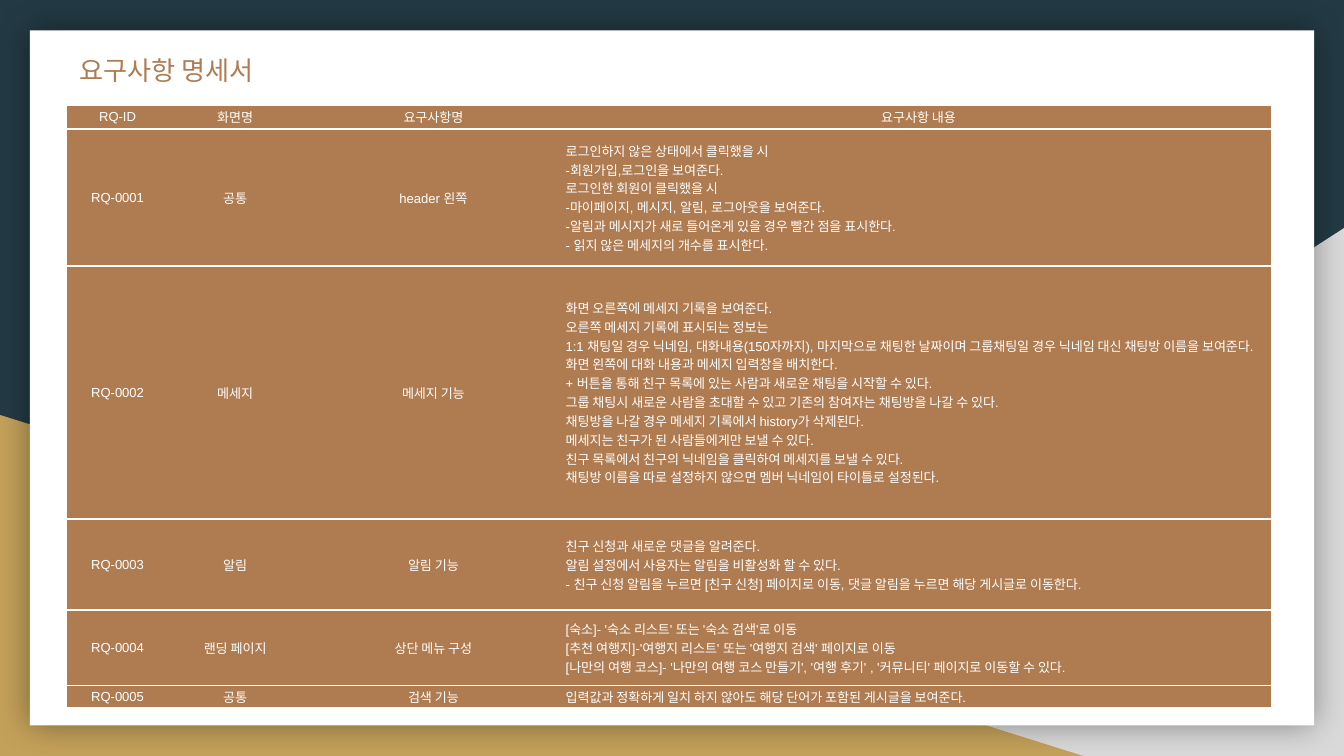
from lxml.etree import SubElement
from pptx import Presentation
from pptx.dml.color import RGBColor
from pptx.enum.shapes import MSO_SHAPE as Preset
from pptx.enum.text import MSO_ANCHOR as Anchor, PP_ALIGN as Align
from pptx.oxml import parse_xml
from pptx.oxml.ns import nsdecls, qn
from pptx.util import Pt

FONT = "Arial"
NAVY, GRAY, GOLD, BROWN, WHITE = "233A44", "D9D9D9", "C4A15A", "AF7B51", "FFFFFF"

TITLE = "요구사항 명세서"
HEADER = ("RQ-ID", "화면명", "요구사항명", ["요구사항 내용"])
REQUIREMENTS = [
    ("RQ-0001", "공통", "header 왼쪽", [
        "로그인하지 않은 상태에서 클릭했을 시",
        "-회원가입,로그인을 보여준다.",
        "로그인한 회원이 클릭했을 시",
        "-마이페이지, 메시지, 알림, 로그아웃을 보여준다.",
        "-알림과 메시지가 새로 들어온게 있을 경우 빨간 점을 표시한다.",
        "- 읽지 않은 메세지의 개수를 표시한다.",
    ]),
    ("RQ-0002", "메세지", "메세지 기능", [
        "화면 오른쪽에 메세지 기록을 보여준다.",
        "오른쪽 메세지 기록에 표시되는 정보는",
        "1:1 채팅일 경우 닉네임, 대화내용(150자까지), 마지막으로 채팅한 날짜이며 "
        "그룹채팅일 경우 닉네임 대신 채팅방 이름을 보여준다.",
        "화면 왼쪽에 대화 내용과 메세지 입력창을 배치한다.",
        "+ 버튼을 통해 친구 목록에 있는 사람과 새로운 채팅을 시작할 수 있다.",
        "그룹 채팅시 새로운 사람을 초대할 수 있고 기존의 참여자는 채팅방을 나갈 수 있다.",
        "채팅방을 나갈 경우 메세지 기록에서 history가 삭제된다.",
        "메세지는 친구가 된 사람들에게만 보낼 수 있다.",
        "친구 목록에서 친구의 닉네임을 클릭하여 메세지를 보낼 수 있다.",
        "채팅방 이름을 따로 설정하지 않으면 멤버 닉네임이 타이틀로 설정된다.",
    ]),
    ("RQ-0003", "알림", "알림 기능", [
        "친구 신청과 새로운 댓글을 알려준다.",
        "알림 설정에서 사용자는 알림을 비활성화 할 수 있다.",
        "- 친구 신청 알림을 누르면 [친구 신청] 페이지로 이동, "
        "댓글 알림을 누르면 해당 게시글로 이동한다.",
    ]),
    ("RQ-0004", "랜딩 페이지", "상단 메뉴 구성", [
        "[숙소]- '숙소 리스트' 또는 '숙소 검색'로 이동",
        "[추천 여행지]-'여행지 리스트' 또는 '여행지 검색' 페이지로 이동",
        "[나만의 여행 코스]- '나만의 여행 코스 만들기', '여행 후기' , "
        "'커뮤니티' 페이지로 이동할 수 있다.",
    ]),
    ("RQ-0005", "공통", "검색 기능", [
        "입력값과 정확하게 일치 하지 않아도 해당 단어가 포함된 게시글을 보여준다.",
    ]),
]
COLUMN_WIDTHS = [55.4, 70.6, 141.8, 378]
ROW_HEIGHTS = [13, 73.4, 135.4, 49, 40.3, 12.2]
LEFT, TABLE_TOP = 35.3, 56.2


def paint(fill, color):
    fill.solid()
    fill.fore_color.rgb = RGBColor.from_string(color)


def add_backdrop(slide, preset, color, *box):
    shape = slide.shapes.add_shape(preset, *map(Pt, box))
    paint(shape.fill, color)
    shape.line.fill.background()
    shape.shadow.inherit = False
    return shape


def write(paragraph, lines, size, color, align):
    paragraph.alignment = align
    for number, line in enumerate(lines):
        if number:
            paragraph.add_line_break()
        run = paragraph.add_run()
        run.text = line
        run.font.name, run.font.size, run.font.bold = FONT, Pt(size), False
        paint(run.font.fill, color)


def set_borders(cell, visible):
    """Draw white lines on the visible sides (L, R, T, B) and clear the others."""
    properties = cell._tc.get_or_add_tcPr()
    for position, side in enumerate("LRTB"):
        ink = (f'<a:solidFill><a:srgbClr val="{WHITE}"/></a:solidFill>'
               if side in visible else "<a:noFill/>")
        border = f'<a:ln{side} {nsdecls("a")} w="{Pt(1)}">{ink}</a:ln{side}>'
        properties.insert(position, parse_xml(border))


def add_soft_shadow(shape):
    effects = shape.element.spPr.find(qn("a:effectLst"))
    shadow = SubElement(effects, qn("a:outerShdw"), blurRad=str(Pt(18)),
                        dist="0", dir="0", algn="ctr", rotWithShape="0")
    black = SubElement(shadow, qn("a:srgbClr"), val="000000")
    SubElement(black, qn("a:alpha"), val="40000")


def add_requirements(slide):
    rows = [HEADER, *REQUIREMENTS]
    last = len(COLUMN_WIDTHS) - 1
    table = slide.shapes.add_table(
        len(rows), len(COLUMN_WIDTHS), Pt(LEFT), Pt(TABLE_TOP),
        Pt(sum(COLUMN_WIDTHS)), Pt(sum(ROW_HEIGHTS))).table
    table.first_row = table.horz_banding = False
    for column, width in zip(table.columns, COLUMN_WIDTHS):
        column.width = Pt(width)
    for r, (entries, height) in enumerate(zip(rows, ROW_HEIGHTS)):
        table.rows[r].height = Pt(height)
        for c, entry in enumerate(entries):
            cell = table.cell(r, c)
            cell.margin_left = cell.margin_right = 0
            cell.margin_top = cell.margin_bottom = 0
            cell.vertical_anchor = Anchor.MIDDLE
            paint(cell.fill, BROWN)
            set_borders(cell, "TB" + {0: "L", last: "R"}.get(c, ""))
            is_detail = r > 0 and c == last
            write(cell.text_frame.paragraphs[0], entry if c == last else [entry],
                  7, WHITE, Align.LEFT if is_detail else Align.CENTER)


def add_title(slide):
    title = slide.shapes.title
    title.left, title.top, title.width, title.height = map(Pt, (LEFT, 25.2, 365.8, 24.5))
    title.text_frame.word_wrap = True
    title.text_frame.vertical_anchor = Anchor.MIDDLE
    write(title.text_frame.paragraphs[0], [TITLE], 14, BROWN, Align.LEFT)
    slide.shapes.element.append(title.element)  # bring in front of the panel


def main():
    deck = Presentation()
    deck.slide_width, deck.slide_height = Pt(720), Pt(405)
    slide = deck.slides.add_slide(deck.slide_layouts[5])
    paint(slide.background.fill, NAVY)
    right_corner = add_backdrop(slide, Preset.RIGHT_TRIANGLE, GRAY, 282.2, 122.2, 437.8, 282.8)
    right_corner.element.spPr.xfrm.set("flipH", "1")
    add_backdrop(slide, Preset.RIGHT_TRIANGLE, GOLD, 0, 222.3, 580.3, 182.7)
    panel = add_backdrop(slide, Preset.RECTANGLE, WHITE, 16, 16.3, 688, 372.4)
    add_soft_shadow(panel)
    add_requirements(slide)
    add_title(slide)
    deck.save("out.pptx")


if __name__ == "__main__":
    main()
